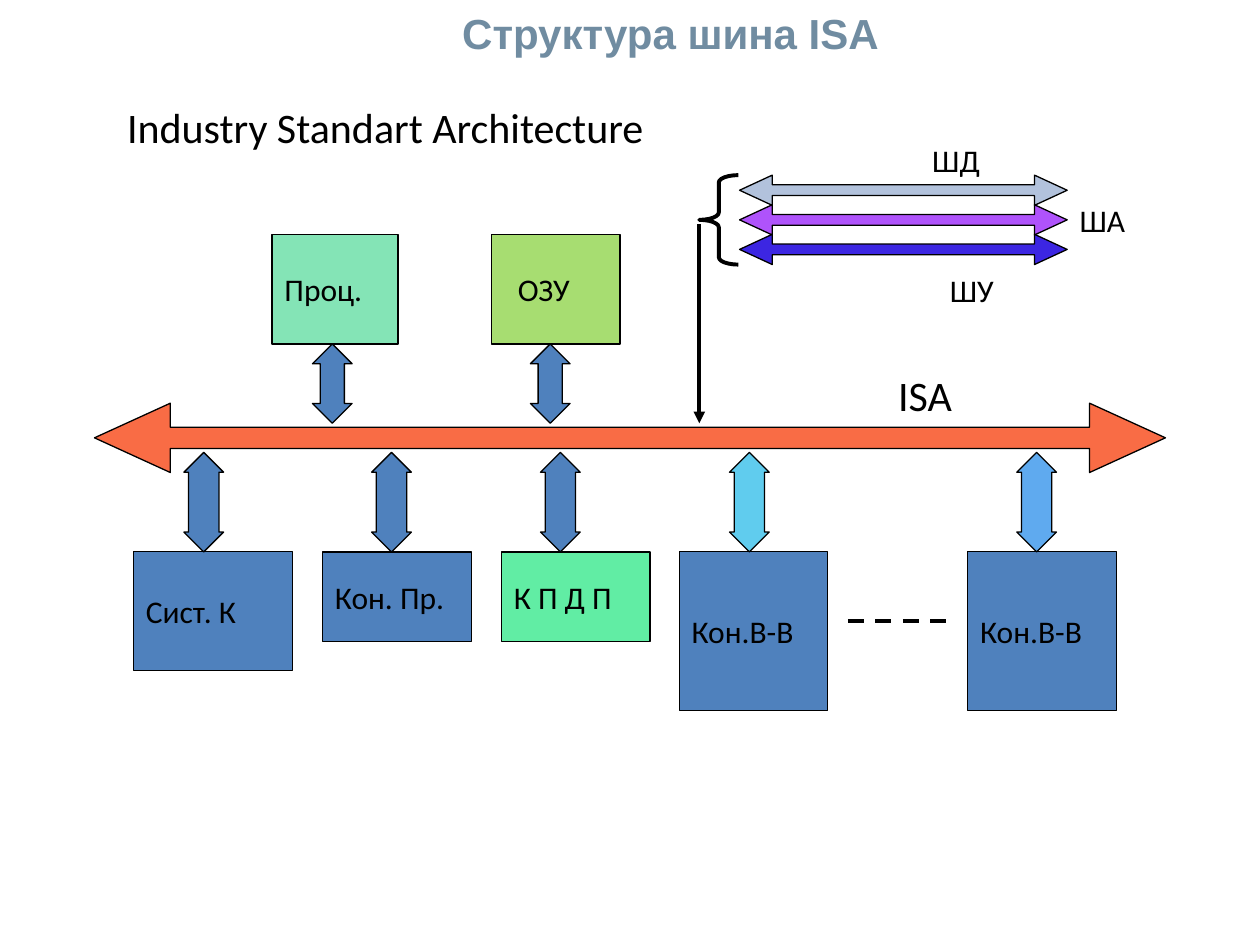
from pptx import Presentation
from pptx.dml.color import RGBColor
from pptx.enum.dml import MSO_LINE
from pptx.enum.shapes import MSO_CONNECTOR as Conn, MSO_SHAPE as Shape
from pptx.enum.text import MSO_ANCHOR as Anchor
from pptx.oxml.ns import qn
from pptx.util import Inches, Pt
from lxml.etree import SubElement

BLACK = RGBColor(0, 0, 0)
SLATE = RGBColor(0x70, 0x8C, 0xA1)
BLUE = RGBColor(0x4F, 0x81, 0xBD)
MINT = RGBColor(0x84, 0xE4, 0xB6)
LIME = RGBColor(0xA7, 0xDD, 0x71)
GREEN = RGBColor(0x61, 0xED, 0xA4)
CYAN = RGBColor(0x60, 0xCC, 0xEE)
SKY = RGBColor(0x5F, 0xAA, 0xEF)
ORANGE = RGBColor(0xF9, 0x6C, 0x45)
PALE = RGBColor(0xB2, 0xC2, 0xDC)
VIOLET = RGBColor(0xAF, 0x53, 0xFB)
INDIGO = RGBColor(0x3C, 0x26, 0xE2)

# Devices: text, left, width, height, fill, arrow left, arrow fill, text inset
ABOVE = [
    ("Проц.", 2.16, 1, 0.87, MINT, 2.48, BLUE, 0.1),
    ("ОЗУ", 3.9, 1.02, 0.87, LIME, 4.21, BLUE, 0.21),
]
BELOW = [
    ("Сист. К", 1.06, 1.26, 0.94, BLUE, 1.46, BLUE, 0.1),
    ("Кон. Пр.", 2.56, 1.18, 0.71, BLUE, 2.95, BLUE, 0.1),
    ("К П Д П", 3.98, 1.18, 0.71, GREEN, 4.29, BLUE, 0.1),
    ("Кон.В-В", 5.39, 1.18, 1.26, BLUE, 5.79, CYAN, 0.1),
    ("Кон.В-В", 7.68, 1.18, 1.26, BLUE, 8.07, SKY, 0.1),
]
# Rows: box top, arrow top, arrow height, arrow head ratio
ROWS = [(ABOVE, 1.86, 2.73, 0.63, 0.61), (BELOW, 4.38, 3.59, 0.79, 0.765)]
LANES = [PALE, VIOLET, INDIGO]
# Labels: text, left, top, width, height, size
LABELS = [
    ("ISA", 7.03, 2.88, 0.89, 0.5, 24),
    ("ШД", 7.3, 1.07, 0.85, 0.4, 18),
    ("ШУ", 7.44, 2.1, 0.63, 0.4, 18),
    ("ША", 8.47, 1.55, 0.6, 0.4, 18),
    ("Industry Standart Architecture", 0.91, 0.76, 4.49, 0.5, 24),
]

deck = Presentation()
deck.slide_width, deck.slide_height = Inches(10), Inches(7.5)
slide = deck.slides.add_slide(deck.slide_layouts[6])
shapes = slide.shapes


def write(shape, text, size=18, color=BLACK, face="Calibri", bold=False):
    frame = shape.text_frame
    frame.word_wrap = True
    para = frame.paragraphs[0]
    para.text = text
    font = para.font
    font.size, font.name, font.bold = Pt(size), face, bold
    font.color.rgb = color
    return frame


def label(text, x, y, w, h, *style):
    box = shapes.add_textbox(*map(Inches, (x, y, w, h)))
    return write(box, text, *style)


def draw(kind, x, y, w, h, fill=None, adj=(), weight=0.75):
    shape = shapes.add_shape(kind, *map(Inches, (x, y, w, h)))
    shape.shadow.inherit = False
    if fill is None:
        shape.fill.background()
    else:
        shape.fill.solid()
        shape.fill.fore_color.rgb = fill
    shape.line.color.rgb = BLACK
    shape.line.width = Pt(weight)
    for i, value in enumerate(adj):
        shape.adjustments[i] = value
    return shape


def rule(x1, y1, x2, y2):
    line = shapes.add_connector(Conn.STRAIGHT, *map(Inches, (x1, y1, x2, y2)))
    line.line.color.rgb = BLACK
    line.line.width = Pt(2.25)
    SubElement(line._element.spPr, qn("a:effectLst"))
    return line.line


# Title
title = label("Cтруктура шина ISA", 3.57, 0, 5.93, 0.52, 24, SLATE, "Arial", True)
title.vertical_anchor = Anchor.MIDDLE

# Main bus
draw(Shape.LEFT_RIGHT_ARROW, 0.75, 3.2, 8.5, 0.55, ORANGE, (0.307, 1.095))

# Devices and their links to the bus
for row, top, link_top, link_h, head in ROWS:
    for text, x, w, h, fill, link_x, link_fill, inset in row:
        frame = write(draw(Shape.RECTANGLE, x, top, w, h, fill), text)
        frame.vertical_anchor = Anchor.MIDDLE
        frame.margin_left = Inches(inset)
        frame.paragraphs[0].alignment = 1
        draw(Shape.UP_DOWN_ARROW, link_x, link_top, 0.315, link_h,
             link_fill, (0.5, head))

# Further controllers
rule(6.73, 4.93, 7.52, 4.93).dash_style = MSO_LINE.DASH

# Bus lanes, bracket and pointer
for i, fill in enumerate(LANES):
    draw(Shape.LEFT_RIGHT_ARROW, 5.87, 1.39 + i * 0.235, 2.6, 0.24,
         fill, (0.357, 1.081))
draw(Shape.LEFT_BRACE, 5.55, 1.39, 0.31, 0.71, None, (0.188, 0.5), 2.25)
pointer = rule(5.55, 1.78, 5.55, 3.36)
SubElement(pointer._get_or_add_ln(), qn("a:tailEnd"), type="triangle")

# Labels
for item in LABELS:
    label(*item)

deck.save("out.pptx")
